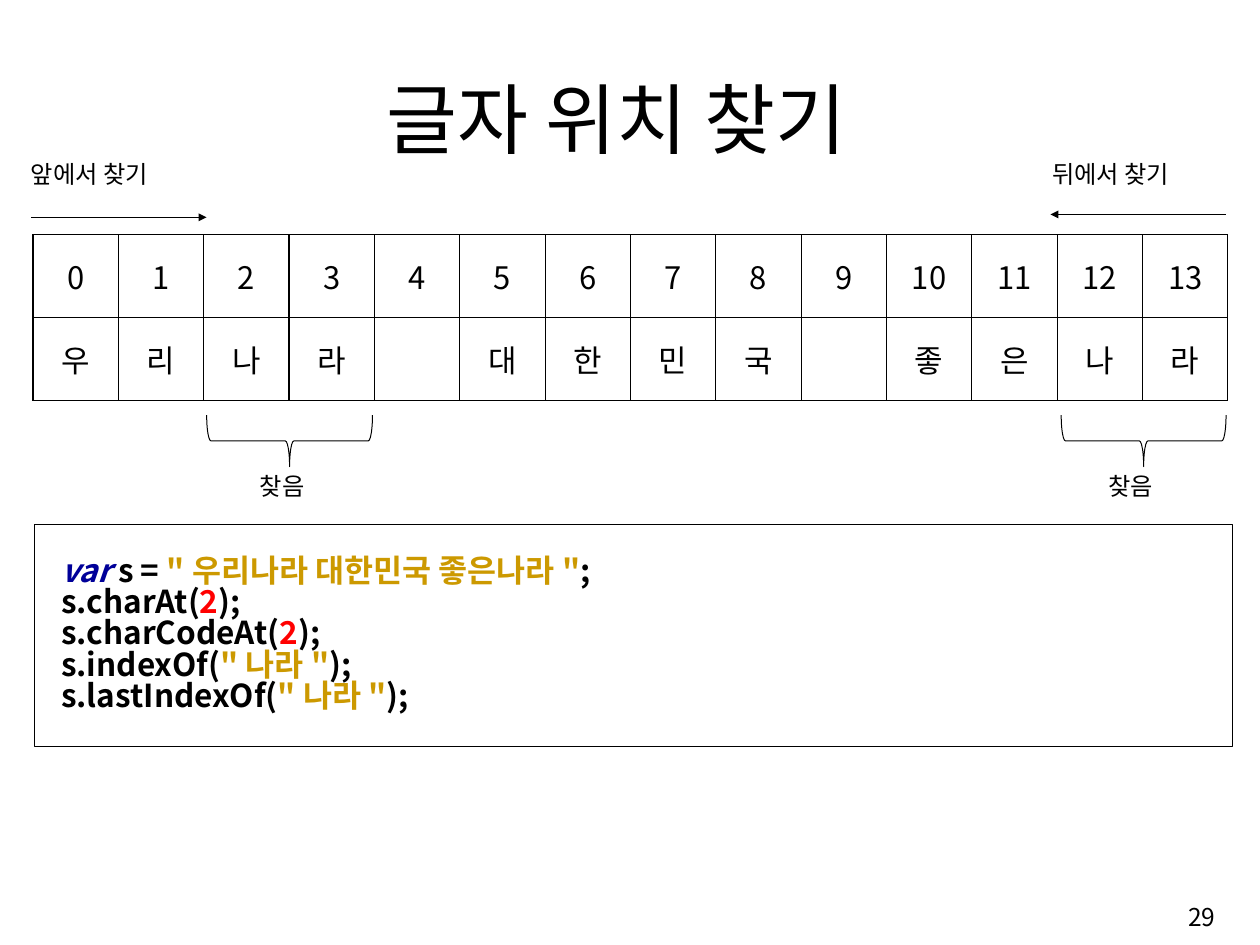
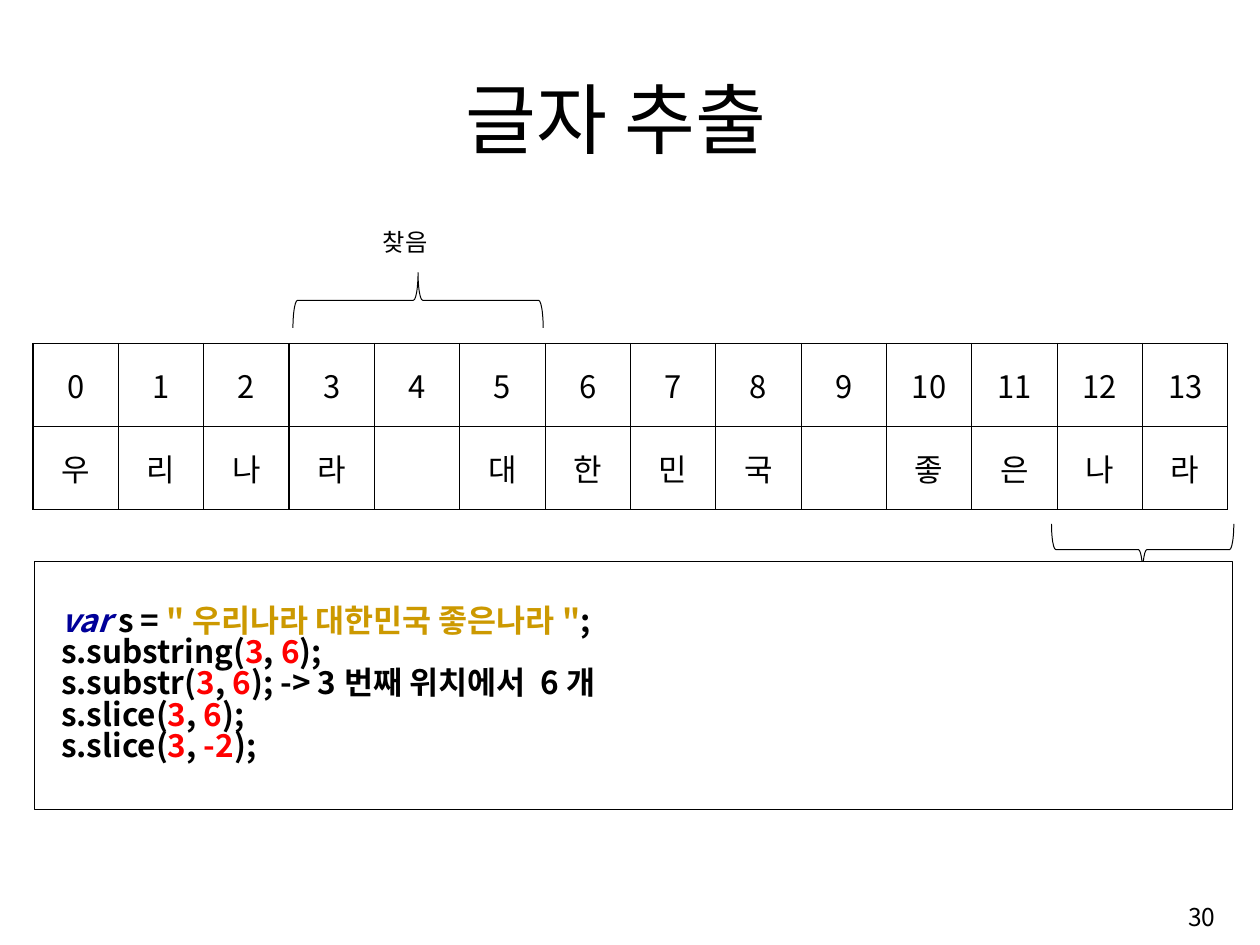
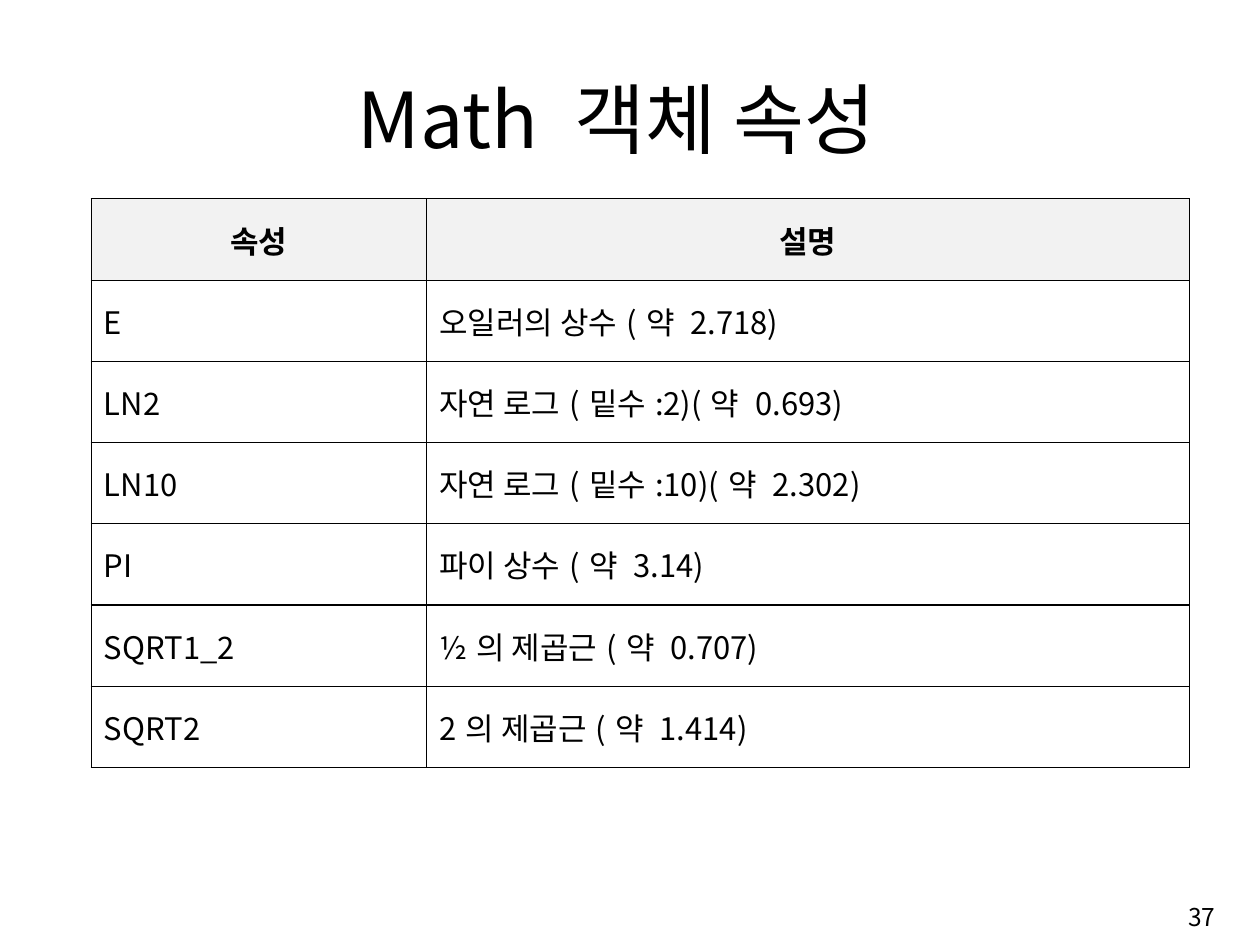
from dataclasses import dataclass
from typing import NamedTuple, Sequence

import pptx
import pptx.dml.color
import pptx.enum.shapes
import pptx.enum.text
import pptx.oxml
import pptx.oxml.ns
import pptx.util
from pptx.util import Inches

SHAPES = pptx.enum.shapes.MSO_SHAPE
ALIGN = pptx.enum.text.PP_ALIGN
ANCHOR = pptx.enum.text.MSO_ANCHOR


# Theme
@dataclass(frozen=True)
class Theme:
    font: str = "Noto Sans CJK KR"
    label_font: str = "Arial"
    ink: str = "000000"
    paper: str = "FFFFFF"
    header: str = "F2F2F2"
    keyword: str = "000099"
    string: str = "CC9900"
    number: str = "FF0000"
    title_size: float = 57.2
    code_size: float = 23.4
    table_size: float = 23
    page_size: float = 18.2
    label_size: float = 18
    line_width: float = 0.75
    border_width: float = 1
    code_spacing: float = 0.83


THEME = Theme()


# Repeated elements
class Box(NamedTuple):
    left: float
    top: float
    width: float
    height: float


class Brace(NamedTuple):
    left: float
    top: float
    span: float
    depth: float
    rotation: int


class Arrow(NamedTuple):
    left: float
    right: float
    y: float
    end: str


class Label(NamedTuple):
    text: str
    left: float
    top: float
    width: float


class Token(NamedTuple):
    text: str
    color: str = THEME.ink
    italic: bool = False


@dataclass(frozen=True)
class StringSlide:
    title: str
    page: int
    table_top: float
    braces: Sequence[Brace]
    arrows: Sequence[Arrow]
    labels: Sequence[Label]
    code_box: Box
    code: Sequence[Sequence[Token]]


TITLE_BOX = Box(1.05, 0.61, 10.61, 1.08)
PAGE_BOX = Box(9.98, 9.15, 2.68, 0.6)
SENTENCE = "우리나라 대한민국 좋은나라"
INSETS = (0.13, 0.06, 0.13, 0.06)


# Code lines
def call(method: str, *arguments: str, note: str = "") -> list[Token]:
    """Colour strings and numbers inside a method call on s."""
    tokens = [Token(f"s.{method}(")]
    for index, argument in enumerate(arguments):
        if index:
            tokens.append(Token(", "))
        color = THEME.string if argument.startswith('"') else THEME.number
        tokens.append(Token(argument, color))
    return tokens + [Token(");" + note)]


DECLARATION = [
    Token("var", THEME.keyword, True),
    Token(" s = "),
    Token(f'"{SENTENCE}"', THEME.string),
    Token(";"),
]

# Slide content
STRING_SLIDES = [
    StringSlide(
        title="글자 위치 찾기",
        page=29,
        table_top=2.42,
        braces=[Brace(2.13, 4.28, 1.71, 0.53, 90), Brace(10.94, 4.28, 1.7, 0.53, 90)],
        arrows=[Arrow(0.32, 2.13, 2.24, "tailEnd"), Arrow(10.83, 12.64, 2.21, "headEnd")],
        labels=[
            Label("앞에서 찾기", 0.22, 1.59, 2.07),
            Label("뒤에서 찾기", 10.75, 1.59, 2.07),
            Label("찾음", 2.58, 4.81, 0.92),
            Label("찾음", 11.33, 4.81, 0.92),
        ],
        code_box=Box(0.36, 5.41, 12.35, 2.28),
        code=[
            DECLARATION,
            call("charAt", "2"),
            call("charCodeAt", "2"),
            call("indexOf", '"나라"'),
            call("lastIndexOf", '"나라"'),
        ],
    ),
    StringSlide(
        title="글자 추출",
        page=30,
        table_top=3.54,
        braces=[Brace(3.02, 2.81, 2.58, 0.57, 270), Brace(10.84, 5.4, 1.88, 0.53, 90)],
        arrows=[],
        labels=[Label("찾음", 3.85, 2.29, 0.92)],
        code_box=Box(0.36, 5.79, 12.35, 2.55),
        code=[
            DECLARATION,
            call("substring", "3", "6"),
            call("substr", "3", "6", note=" -> 3번째 위치에서 6개"),
            call("slice", "3", "6"),
            call("slice", "3", "-2"),
        ],
    ),
]

MATH_ROWS = [
    ("속성", "설명"),
    ("E", "오일러의 상수(약 2.718)"),
    ("LN2", "자연 로그(밑수:2)(약 0.693)"),
    ("LN10", "자연 로그(밑수:10)(약 2.302)"),
    ("PI", "파이 상수(약 3.14)"),
    ("SQRT1_2", "½의 제곱근(약 0.707)"),
    ("SQRT2", "2의 제곱근(약 1.414)"),
]


# Formatting helpers
def rgb(color: str) -> pptx.dml.color.RGBColor:
    return pptx.dml.color.RGBColor.from_string(color)


def inches(values: Sequence[float]) -> list[int]:
    return [Inches(value) for value in values]


def add_xml(parent, tag: str):
    element = pptx.oxml.parse_xml(f"<a:{tag} {pptx.oxml.ns.nsdecls('a')}/>")
    parent.append(element)
    return element


def format_run(run, size: float, color: str = THEME.ink, bold: bool = False,
               italic: bool = False, font: str = THEME.font) -> None:
    run.font.name = font
    run.font.size = pptx.util.Pt(size)
    run.font.bold = bold
    run.font.italic = italic
    run.font.color.rgb = rgb(color)
    add_xml(run.font._element, "ea").set("typeface", THEME.font)


def set_insets(holder, insets: Sequence[float]) -> None:
    (holder.margin_left, holder.margin_top,
     holder.margin_right, holder.margin_bottom) = inches(insets)


def set_text(text_frame, text: str, size: float, align=ALIGN.LEFT,
             font: str = THEME.font, bold: bool = False) -> None:
    text_frame.text = text
    paragraph = text_frame.paragraphs[0]
    paragraph.alignment = align
    for run in paragraph.runs:
        format_run(run, size, bold=bold, font=font)


def style_shape(shape) -> None:
    shape.shadow.inherit = False
    shape.fill.solid()
    shape.fill.fore_color.rgb = rgb(THEME.paper)
    shape.line.color.rgb = rgb(THEME.ink)
    shape.line.width = pptx.util.Pt(THEME.line_width)


# Drawing functions
def add_titled_slide(presentation, title: str, page: int):
    slide = presentation.slides.add_slide(presentation.slide_layouts[5])
    shape = slide.shapes.title
    shape.left, shape.top, shape.width, shape.height = inches(TITLE_BOX)
    text_frame = shape.text_frame
    text_frame.auto_size = pptx.enum.text.MSO_AUTO_SIZE.NONE
    text_frame.word_wrap = True
    text_frame.vertical_anchor = ANCHOR.BOTTOM
    set_insets(text_frame, (0, 0, 0, 0))
    set_text(text_frame, title, THEME.title_size, ALIGN.CENTER)

    number = slide.shapes.add_textbox(*inches(PAGE_BOX)).text_frame
    number.word_wrap = True
    number.vertical_anchor = ANCHOR.MIDDLE
    set_insets(number, INSETS)
    set_text(number, str(page), THEME.page_size, ALIGN.RIGHT)
    return slide


def add_borders(cell) -> None:
    properties = cell._tc.get_or_add_tcPr()
    for side in ("lnL", "lnR", "lnT", "lnB"):
        line = add_xml(properties, side)
        line.set("w", str(pptx.util.Pt(THEME.border_width)))
        add_xml(add_xml(line, "solidFill"), "srgbClr").set("val", THEME.ink)


def add_grid(slide, rows: Sequence[Sequence[str]], box: Box,
             widths: Sequence[float], header: bool) -> None:
    frame = slide.shapes.add_table(len(rows), len(widths), *inches(box))
    table = frame.table
    table.first_row = header
    table.horz_banding = False
    for column, width in zip(table.columns, widths):
        column.width = Inches(width)
    for row_index, row in enumerate(rows):
        table.rows[row_index].height = Inches(box.height / len(rows))
        is_header = header and row_index == 0
        for column_index, text in enumerate(row):
            cell = table.cell(row_index, column_index)
            add_borders(cell)
            cell.fill.solid()
            cell.fill.fore_color.rgb = rgb(THEME.header if is_header else THEME.paper)
            cell.vertical_anchor = ANCHOR.MIDDLE
            set_insets(cell, INSETS)
            align = ALIGN.CENTER if is_header or not header else ALIGN.LEFT
            set_text(cell.text_frame, text, THEME.table_size, align, bold=is_header)


def add_brace(slide, brace: Brace) -> None:
    shift = (brace.span - brace.depth) / 2
    box = Box(brace.left + shift, brace.top - shift, brace.depth, brace.span)
    shape = slide.shapes.add_shape(SHAPES.RIGHT_BRACE, *inches(box))
    shape.rotation = brace.rotation
    style_shape(shape)


def add_arrow(slide, arrow: Arrow) -> None:
    connector = slide.shapes.add_connector(
        pptx.enum.shapes.MSO_CONNECTOR.STRAIGHT,
        *inches((arrow.left, arrow.y, arrow.right, arrow.y)))
    connector.line.color.rgb = rgb(THEME.ink)
    connector.line.width = pptx.util.Pt(THEME.line_width)
    add_xml(connector.line._get_or_add_ln(), arrow.end).set("type", "triangle")
    add_xml(connector._element.spPr, "effectLst")


def add_label(slide, label: Label) -> None:
    box = Box(label.left, label.top, label.width, 0.4)
    text_frame = slide.shapes.add_textbox(*inches(box)).text_frame
    text_frame.word_wrap = True
    set_text(text_frame, label.text, THEME.label_size, font=THEME.label_font)


def add_code(slide, box: Box, lines: Sequence[Sequence[Token]]) -> None:
    shape = slide.shapes.add_shape(SHAPES.RECTANGLE, *inches(box))
    style_shape(shape)
    text_frame = shape.text_frame
    text_frame.word_wrap = True
    text_frame.vertical_anchor = ANCHOR.MIDDLE
    set_insets(text_frame, INSETS)
    for index, tokens in enumerate(lines):
        paragraph = text_frame.add_paragraph() if index else text_frame.paragraphs[0]
        paragraph.alignment = ALIGN.LEFT
        paragraph.line_spacing = THEME.code_spacing
        paragraph._p.get_or_add_pPr().set("marL", str(Inches(0.14)))
        for token in tokens:
            run = paragraph.add_run()
            run.text = token.text
            format_run(run, THEME.code_size, token.color, True, token.italic)


# Slide builders
def build_string_slide(presentation, content: StringSlide) -> None:
    slide = add_titled_slide(presentation, content.title, content.page)
    letters = [letter.strip() for letter in SENTENCE]
    # The sentence's last space has no cell of its own.
    indexes = [str(index) for index in range(len(letters))]
    add_grid(slide, [indexes, letters], Box(0.34, content.table_top, 12.32, 1.71),
             [12.32 / len(letters)] * len(letters), header=False)
    for brace in content.braces:
        add_brace(slide, brace)
    for arrow in content.arrows:
        add_arrow(slide, arrow)
    add_code(slide, content.code_box, content.code)
    for label in content.labels:
        add_label(slide, label)


def build_math_slide(presentation) -> None:
    slide = add_titled_slide(presentation, "Math 객체 속성", 37)
    add_grid(slide, MATH_ROWS, Box(0.94, 2.05, 11.32, 5.86), [3.46, 7.86], header=True)


def main() -> None:
    presentation = pptx.Presentation()
    presentation.slide_width = Inches(12.99)
    presentation.slide_height = Inches(9.74)
    for content in STRING_SLIDES:
        build_string_slide(presentation, content)
    build_math_slide(presentation)
    presentation.save("out.pptx")


main()
